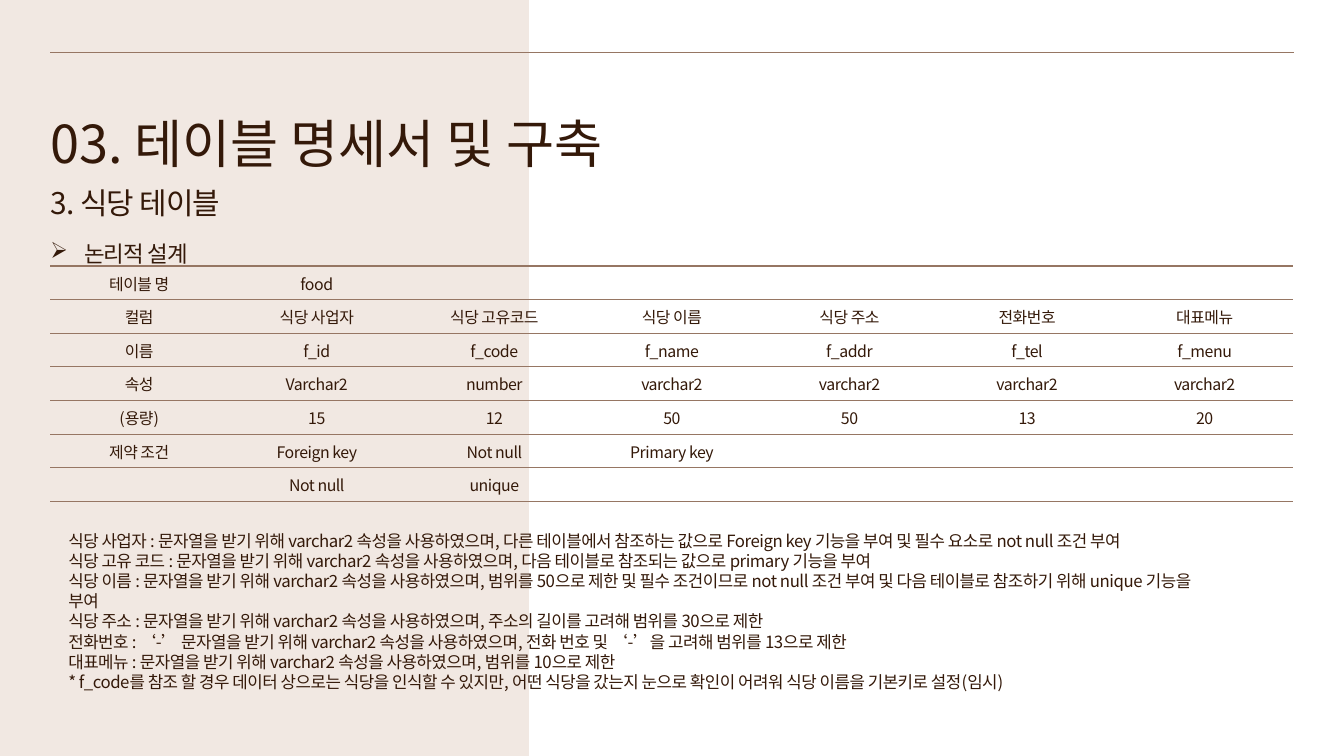
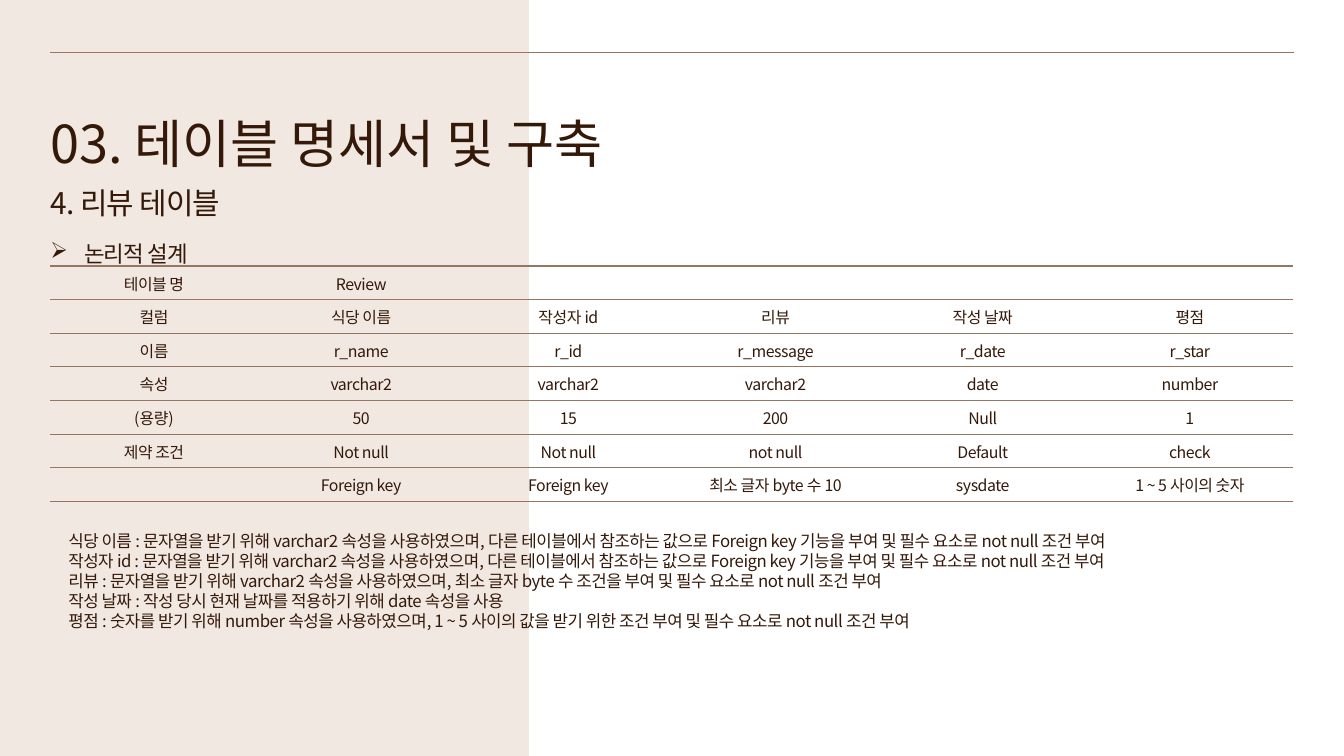
from lxml import etree
from pptx import Presentation
from pptx.dml.color import RGBColor
from pptx.enum import shapes, text
from pptx.oxml import ns
from pptx.util import Emu, Pt

PX = 9525  # EMU per px, 96 px to the inch
WIDTH, HEIGHT, MARGIN = 1920, 1080, 72
CONTENT_WIDTH = WIDTH - 2 * MARGIN
BAND_LEFT, RULE_TOP = 756, 75
TABLE_TOP, ROW_HEIGHT = 380, 48
SAND, WHITE, BROWN, INK = "F1E8E2", "FFFFFF", "967663", "341909"
HEADING_FONT, TEXT_FONT = "Noto Sans CJK KR", "Noto Sans CJK SC"

TITLE = "03. 테이블 명세서 및 구축"
LABEL = "논리적 설계"
PAGES = [
    {
        "subtitle": "3. 식당 테이블",
        "rows": [
            ("테이블 명", "food", "", "", "", "", ""),
            ("컬럼", "식당 사업자", "식당 고유코드", "식당 이름", "식당 주소", "전화번호", "대표메뉴"),
            ("이름", "f_id", "f_code", "f_name", "f_addr", "f_tel", "f_menu"),
            ("속성", "Varchar2", "number", "varchar2", "varchar2", "varchar2", "varchar2"),
            ("(용량)", "15", "12", "50", "50", "13", "20"),
            ("제약 조건", "Foreign key", "Not null", "Primary key", "", "", ""),
            ("", "Not null", "unique", "", "", "", ""),
        ],
        "notes": [
            "식당 사업자 : 문자열을 받기 위해 varchar2 속성을 사용하였으며, 다른 테이블에서 참조하는 값으로 Foreign key 기능을 부여 및 필수 요소로 not null 조건 부여",
            "식당 고유 코드 : 문자열을 받기 위해 varchar2 속성을 사용하였으며, 다음 테이블로 참조되는 값으로 primary 기능을 부여",
            "식당 이름 : 문자열을 받기 위해 varchar2 속성을 사용하였으며, 범위를 50으로 제한 및 필수 조건이므로 not null 조건 부여 및 다음 테이블로 참조하기 위해 unique 기능을 부여",
            "식당 주소 : 문자열을 받기 위해 varchar2 속성을 사용하였으며, 주소의 길이를 고려해 범위를 30으로 제한",
            "전화번호 : ‘-’ 문자열을 받기 위해 varchar2 속성을 사용하였으며, 전화 번호 및 ‘-’을 고려해 범위를 13으로 제한",
            "대표메뉴 : 문자열을 받기 위해 varchar2 속성을 사용하였으며, 범위를 10으로 제한",
            "* f_code를 참조 할 경우 데이터 상으로는 식당을 인식할 수 있지만, 어떤 식당을 갔는지 눈으로 확인이 어려워 식당 이름을 기본키로 설정(임시)",
        ],
        "notes_height": 213,
    },
    {
        "subtitle": "4. 리뷰 테이블",
        "rows": [
            ("테이블 명", "Review", "", "", "", ""),
            ("컬럼", "식당 이름", "작성자 id", "리뷰", "작성 날짜", "평점"),
            ("이름", "r_name", "r_id", "r_message", "r_date", "r_star"),
            ("속성", "varchar2", "varchar2", "varchar2", "date", "number"),
            ("(용량)", "50", "15", "200", "Null", "1"),
            ("제약 조건", "Not null", "Not null", "not null", "Default", "check"),
            ("", "Foreign key", "Foreign key", "최소 글자 byte 수 10", "sysdate", "1 ~ 5 사이의 숫자"),
        ],
        "notes": [
            "식당 이름 : 문자열을 받기 위해 varchar2 속성을 사용하였으며, 다른 테이블에서 참조하는 값으로 Foreign key 기능을 부여 및 필수 요소로 not null 조건 부여",
            "작성자 id : 문자열을 받기 위해 varchar2 속성을 사용하였으며, 다른 테이블에서 참조하는 값으로 Foreign key 기능을 부여 및 필수 요소로 not null 조건 부여",
            "리뷰 : 문자열을 받기 위해 varchar2 속성을 사용하였으며, 최소 글자 byte 수 조건을 부여 및 필수 요소로 not null 조건 부여",
            "작성 날짜 : 작성 당시 현재 날짜를 적용하기 위해 date 속성을 사용",
            "평점 : 숫자를 받기 위해 number 속성을 사용하였으며, 1 ~ 5 사이의 값을 받기 위한 조건 부여 및 필수 요소로 not null 조건 부여",
        ],
        "notes_height": 156,
    },
]


def px(*lengths):
    return [Emu(round(length * PX)) for length in lengths]


def color(value):
    return RGBColor.from_string(value)


def add_element(parent, tag, **attributes):
    return etree.SubElement(parent, ns.qn(tag), attributes)


def style(paragraph, size, font_name, tracking=0, spacing=None, align=text.PP_ALIGN.LEFT):
    paragraph.alignment = align
    paragraph.space_before = Pt(0)
    if spacing:
        paragraph.line_spacing = spacing
    font = paragraph.font
    font.size, font.name = Pt(size), font_name
    font.color.rgb = color(INK)
    properties = paragraph._p.pPr.find(ns.qn("a:defRPr"))
    properties.set("spc", str(tracking))
    add_element(properties, "a:ea", typeface=font_name)


def set_bullet(paragraph, character=None, indent=0):
    properties = paragraph._p.get_or_add_pPr()
    properties.set("marL", str(indent * PX))
    properties.set("indent", str(-indent * PX))
    if character:
        add_element(properties, "a:buChar", char=character)
    else:
        add_element(properties, "a:buNone")


def place(shape, box, inset=True):
    shape.left, shape.top, shape.width, shape.height = px(*box)
    frame = shape.text_frame
    frame.word_wrap = True
    frame.auto_size = text.MSO_AUTO_SIZE.SHAPE_TO_FIT_TEXT
    frame.vertical_anchor = text.MSO_ANCHOR.TOP
    if not inset:
        frame.margin_left = frame.margin_top = frame.margin_right = frame.margin_bottom = 0
    return frame


def add_heading(slide, words, box, size, bullet=None):
    frame = place(slide.shapes.add_textbox(*px(*box)), box, inset=False)
    frame.text = words
    paragraph = frame.paragraphs[0]
    if bullet:
        set_bullet(paragraph, bullet, 48)
    style(paragraph, size, HEADING_FONT, -90, Pt(49.3))


def add_backdrop(slide):
    """Sand background, white right side and top rule, all behind the text."""
    slide.background.fill.solid()
    slide.background.fill.fore_color.rgb = color(SAND)
    band = slide.shapes.add_shape(
        shapes.MSO_SHAPE.RECTANGLE, *px(BAND_LEFT, 0, WIDTH - BAND_LEFT, HEIGHT))
    band.shadow.inherit = False
    band.fill.solid()
    band.fill.fore_color.rgb = color(WHITE)
    band.line.fill.background()
    rule = slide.shapes.add_connector(
        shapes.MSO_CONNECTOR.STRAIGHT, *px(MARGIN, RULE_TOP, WIDTH - MARGIN, RULE_TOP))
    rule.line.color.rgb = color(BROWN)
    rule.line.width = Pt(0.75)
    add_element(rule.element.spPr, "a:effectLst")
    for shape in (band, rule):
        slide.shapes.title.element.addprevious(shape.element)


def set_borders(cell, top, bottom):
    properties = cell._tc.get_or_add_tcPr()
    for side in ("a:lnL", "a:lnR"):
        add_element(add_element(properties, side, w="0"), "a:noFill")
    for side, width in (("a:lnT", top), ("a:lnB", bottom)):
        line = add_element(properties, side, w=str(Pt(width)))
        add_element(add_element(line, "a:solidFill"), "a:srgbClr", val=BROWN)


def add_schema_table(slide, rows):
    columns = len(rows[0])
    table = slide.shapes.add_table(
        len(rows), columns, *px(MARGIN, TABLE_TOP, CONTENT_WIDTH, ROW_HEIGHT * len(rows))).table
    table.first_row = table.horz_banding = False
    for column in table.columns:
        column.width = px(CONTENT_WIDTH / columns)[0]
    for row_index, row in enumerate(rows):
        for column_index, words in enumerate(row):
            cell = table.cell(row_index, column_index)
            cell.text = words
            cell.vertical_anchor = text.MSO_ANCHOR.MIDDLE
            style(cell.text_frame.paragraphs[0], 17, TEXT_FONT, -50, 1.03, text.PP_ALIGN.CENTER)
            set_borders(cell, 0.75 if row_index else 3, 0.75)
            cell.fill.background()


def add_page(presentation, page):
    slide = presentation.slides.add_slide(presentation.slide_layouts[1])
    add_backdrop(slide)
    title, notes = slide.placeholders
    frame = place(title, (MARGIN, 149, 1440, 93), inset=False)
    frame.text = TITLE
    style(frame.paragraphs[0], 56, HEADING_FONT, spacing=Pt(74.5))
    add_heading(slide, page["subtitle"], (MARGIN, 249, 684, 58), 32)
    add_schema_table(slide, page["rows"])
    add_heading(slide, LABEL, (MARGIN, 315, 417, 58), 24, "➢")
    frame = place(notes, (88, 753, 1656, page["notes_height"]))
    frame.text = "\n".join(page["notes"])
    for paragraph in frame.paragraphs:
        set_bullet(paragraph)
        style(paragraph, 18, TEXT_FONT, -50)


def main():
    presentation = Presentation()
    presentation.slide_width, presentation.slide_height = px(WIDTH, HEIGHT)
    for page in PAGES:
        add_page(presentation, page)
    presentation.save("out.pptx")


if __name__ == "__main__":
    main()
